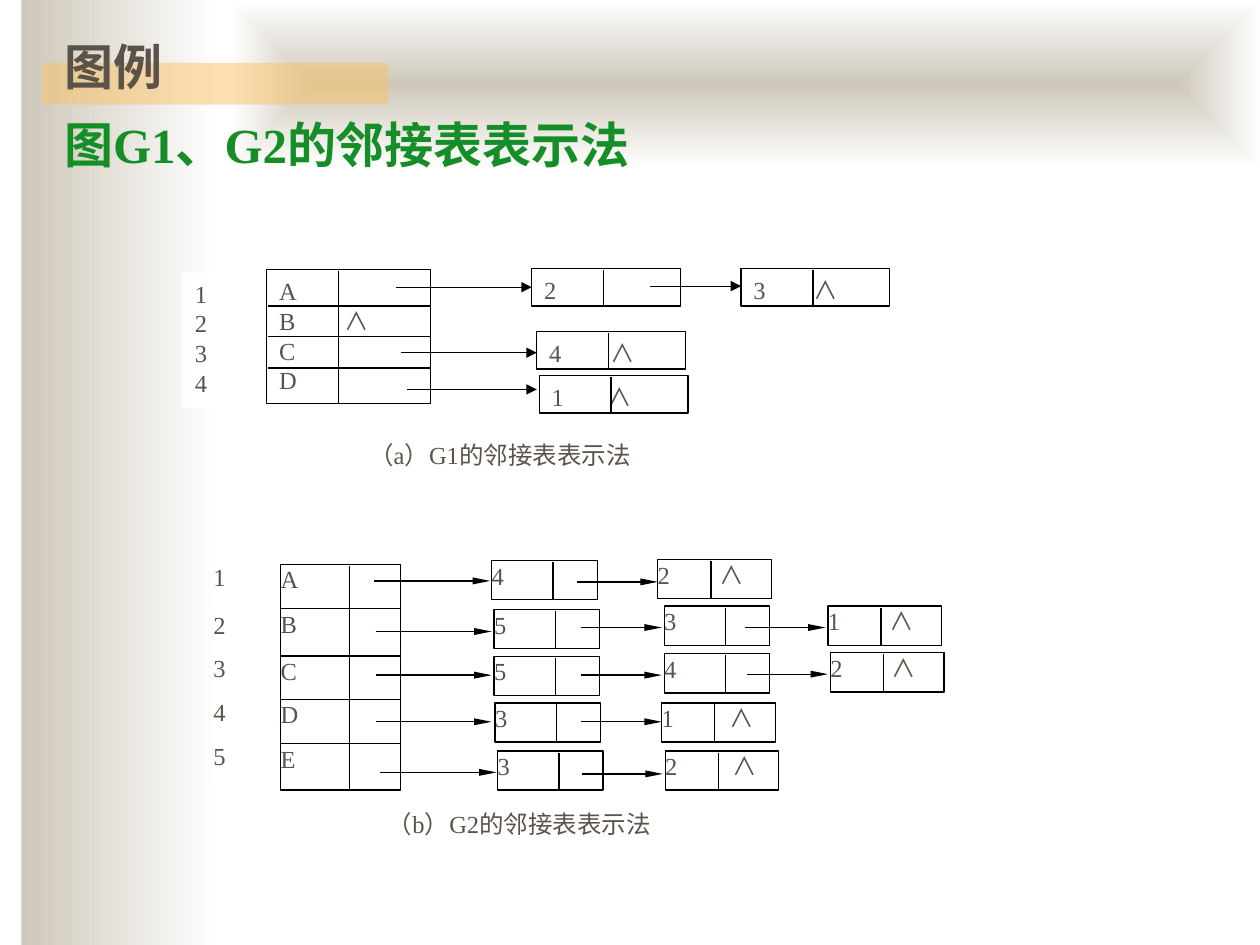
from dataclasses import dataclass
from typing import Any, NamedTuple

from lxml.etree import SubElement
from pptx import Presentation
from pptx.dml.color import RGBColor
from pptx.enum.shapes import MSO_CONNECTOR, MSO_SHAPE
from pptx.enum.text import MSO_ANCHOR, MSO_AUTO_SIZE, PP_ALIGN
from pptx.oxml.ns import qn
from pptx.util import Cm, Pt


@dataclass(frozen=True)
class Theme:
    """Colours, faces and type sizes of the slide."""

    ink: str = "5B5249"
    green: str = "168E27"
    sand: str = "CEC8BA"
    gold: str = "FAC164"
    white: str = "FFFFFF"
    line: str = "000000"
    latin: str = "Times New Roman"
    cjk: str = "Noto Sans CJK SC"
    head: float = 28
    text: float = 14
    pitch: float = 16.9
    rule: float = 0.75


class Box(NamedTuple):
    """A text rectangle in centimetres; tab places the null mark."""

    x: float
    y: float
    w: float
    h: float
    text: str
    tab: float = 0
    edge: bool = True


class Node(NamedTuple):
    """A list node; tab is zero when a further node follows."""

    x: float
    y: float
    text: str
    tab: float = 0


class Arrow(NamedTuple):
    """A level arrow given by its start and length."""

    x: float
    y: float
    size: float


class Style(NamedTuple):
    """Node sizes, inset and arrowhead of one graph."""

    w: float
    end: float
    h: float
    cut: float
    fin: float
    pad: tuple[float, float]
    tip: tuple[str, str]


THEME = Theme()
NULL = "∧"
ONE = Style(3, 3, 0.76, 1.45, 1.45, (0.25, 0.13), ("med", "med"))
TWO = Style(2.13, 2.29, 0.79, 1.24, 1.07, (0, 0), ("sm", "lg"))

ONE_NODES = [
    Node(10.72, 5.41, "2"), Node(14.94, 5.41, "3", 1.22),
    Node(10.82, 6.68, "4", 1.24), Node(10.87, 7.57, "1", 1.13),
]
ONE_ARROWS = [
    Arrow(7.98, 5.79, 2.74), Arrow(13.11, 5.77, 1.83),
    Arrow(8.08, 7.11, 2.74), Arrow(8.2, 7.85, 2.62),
]
TWO_NODES = [
    Node(9.91, 11.3, "4"), Node(13.26, 11.28, "2", 1.24),
    Node(9.96, 12.29, "5"), Node(13.39, 12.22, "3"), Node(16.69, 12.22, "1", 1.24),
    Node(9.96, 13.23, "5"), Node(13.39, 13.18, "4"), Node(16.74, 13.16, "2", 1.24),
    Node(9.98, 14.17, "3"), Node(13.34, 14.17, "1", 1.36),
    Node(10.03, 15.14, "3"), Node(13.41, 15.14, "2", 1.36),
]
TWO_ARROWS = [
    *(Arrow(x, y, 2.34) for x, y in (
        (7.54, 11.71), (7.57, 12.73), (7.57, 13.61), (7.57, 14.55), (7.67, 15.57))),
    *(Arrow(x, y, 1.63) for x, y in (
        (11.63, 11.73), (11.71, 12.65), (11.71, 13.61), (11.71, 14.55),
        (11.73, 15.6), (15.01, 12.65), (15.06, 13.59))),
]
TWO_ROWS = [
    ("1", "A", 11.33, 11.38), ("2", "B", 12.29, 12.27), ("3", "C", 13.16, 13.23),
    ("4", "D", 14.05, 14.1), ("5", "E", 14.94, 14.99),
]


def rgb(code: str) -> RGBColor:
    """Return a colour from its hex code."""
    return RGBColor.from_string(code)


def face(run: Any, size: float, tone: str, bold: bool = False) -> None:
    """Format one run."""
    font = run.font
    font.size, font.bold = Pt(size), bold
    font.color.rgb = rgb(tone)
    font.name = THEME.cjk if run.text == NULL else THEME.latin
    SubElement(font._element, qn("a:ea"), typeface=THEME.cjk)


def panel(shapes: Any, x: float, y: float, w: float, h: float) -> Any:
    """Add a plain rectangle without line or shadow."""
    shape = shapes.add_shape(MSO_SHAPE.RECTANGLE, Cm(x), Cm(y), Cm(w), Cm(h))
    shape.shadow.inherit = False
    shape.line.fill.background()
    return shape


def draw_box(shapes: Any, box: Box, pad: tuple[float, float] = (0, 0)) -> None:
    """Draw a white rectangle with its lines of text."""
    shape = panel(shapes, *box[:4])
    shape.fill.solid()
    shape.fill.fore_color.rgb = rgb(THEME.white)
    if box.edge:
        shape.line.color.rgb = rgb(THEME.line)
        shape.line.width = Pt(THEME.rule)
    frame = shape.text_frame
    frame.word_wrap, frame.vertical_anchor = True, MSO_ANCHOR.TOP
    frame.margin_left = frame.margin_right = Cm(pad[0])
    frame.margin_top = frame.margin_bottom = Cm(pad[1])
    frame.text = box.text.replace(NULL, "")
    many = "\n" in box.text
    for para, text in zip(frame.paragraphs, box.text.split("\n")):
        para.alignment = PP_ALIGN.LEFT
        if many:
            para.line_spacing = Pt(THEME.pitch)
        if NULL in text:
            tabs = SubElement(para._p.get_or_add_pPr(), qn("a:tabLst"))
            SubElement(tabs, qn("a:tab"), pos=str(Cm(box.tab)), algn="l")
            para.add_run().text = NULL
        for run in para.runs:
            face(run, THEME.text, THEME.ink)


def draw_line(shapes: Any, x: float, y: float, to_x: float, to_y: float,
              tip: tuple[str, str] | None = None) -> None:
    """Draw a thin line, with an arrowhead when a tip is given."""
    link = shapes.add_connector(MSO_CONNECTOR.STRAIGHT, Cm(x), Cm(y), Cm(to_x), Cm(to_y))
    link.line.color.rgb = rgb(THEME.line)
    link.line.width = Pt(THEME.rule)
    if tip:
        SubElement(link.line._get_or_add_ln(), qn("a:tailEnd"),
                   type="triangle", w=tip[0], len=tip[1])
    SubElement(link._element.spPr, qn("a:effectLst"))


def draw_lists(shapes: Any, nodes: list[Node], arrows: list[Arrow], style: Style) -> None:
    """Draw the nodes of a graph and the arrows between them."""
    for x, y, text, tab in nodes:
        wide, cut = (style.end, style.fin) if tab else (style.w, style.cut)
        mark = f"{text}\t{NULL}" if tab else text
        draw_box(shapes, Box(x, y, wide, style.h, mark, tab), style.pad)
        draw_line(shapes, x + cut, y + 0.03, x + cut, y + style.h)
    for x, y, size in arrows:
        draw_line(shapes, x, y, x + size, y, style.tip)


def draw_back(shapes: Any) -> None:
    """Draw the side band, the top band and the title bar."""
    side = panel(shapes, 0.43, 0, 4.01, 19.05)
    top = panel(shapes, 4.65, 0, 20.75, 3.38)
    for band in (side, top):
        band.fill.gradient()
        band.fill.gradient_angle = 0
        for stop, tone in zip(band.fill.gradient_stops, (THEME.sand, THEME.white)):
            stop.color.rgb = rgb(tone)
    grad = top._element.spPr.find(qn("a:gradFill"))
    grad.remove(grad.find(qn("a:lin")))
    shade = SubElement(grad, qn("a:path"), path="rect")
    SubElement(shade, qn("a:fillToRect"), l="50000", t="50000", r="50000", b="50000")
    bar = panel(shapes, 0.84, 1.27, 6.99, 0.84)
    bar.fill.solid()
    bar.fill.fore_color.rgb = rgb(THEME.gold)
    tint = bar._element.spPr.find(".//" + qn("a:srgbClr"))
    SubElement(tint, qn("a:alpha"), val="50000")


def draw_title(title: Any) -> None:
    """Place and format the two title lines."""
    title.left, title.top, title.width, title.height = Cm(1.04), Cm(0.61), Cm(22.66), Cm(3.25)
    frame = title.text_frame
    frame.text = "图例\n图G1、G2的邻接表表示法"
    frame.vertical_anchor, frame.auto_size = MSO_ANCHOR.TOP, MSO_AUTO_SIZE.NONE
    for para, tone, gap in zip(frame.paragraphs, (THEME.ink, THEME.green), (0, 11)):
        para.alignment, para.space_before = PP_ALIGN.LEFT, Pt(gap)
        for run in para.runs:
            face(run, THEME.head, tone, True)


def draw_one(shapes: Any) -> None:
    """Draw the adjacency list of G1."""
    draw_box(shapes, Box(3.68, 5.49, 1.88, 2.74, "1\n2\n3\n4", edge=False), ONE.pad)
    draw_box(shapes, Box(5.38, 5.44, 3.3, 2.69, f"A\nB\t{NULL}\nC\nD", 1.32), ONE.pad)
    draw_line(shapes, 6.83, 5.46, 6.83, 8.13)
    for y in (6.17, 6.78, 7.42):
        draw_line(shapes, 5.41, y, 8.69, y)
    draw_lists(shapes, ONE_NODES, ONE_ARROWS, ONE)
    draw_box(shapes, Box(7.19, 8.74, 8.38, 0.86, "（a）G1的邻接表表示法", edge=False), ONE.pad)


def draw_two(shapes: Any) -> None:
    """Draw the adjacency list of G2."""
    for label, name, y, top in TWO_ROWS:
        draw_box(shapes, Box(4.3, y, 1.3, 0.94, label, edge=False))
        draw_box(shapes, Box(5.66, top, 2.41, 0.94, name))
    draw_line(shapes, 7.04, 11.4, 7.04, 15.95)
    draw_lists(shapes, TWO_NODES, TWO_ARROWS, TWO)
    draw_box(shapes, Box(7.82, 16.31, 6.3, 0.91, "（b）G2的邻接表表示法", edge=False))


def main() -> None:
    """Build and save the slide."""
    deck = Presentation()
    deck.slide_width, deck.slide_height = Cm(25.4), Cm(19.05)
    slide = deck.slides.add_slide(deck.slide_layouts[5])
    shapes = slide.shapes
    title = shapes.title
    draw_back(shapes)
    draw_one(shapes.add_group_shape().shapes)
    title._element.getparent().append(title._element)
    draw_title(title)
    draw_two(shapes.add_group_shape().shapes)
    deck.save("out.pptx")


if __name__ == "__main__":
    main()
